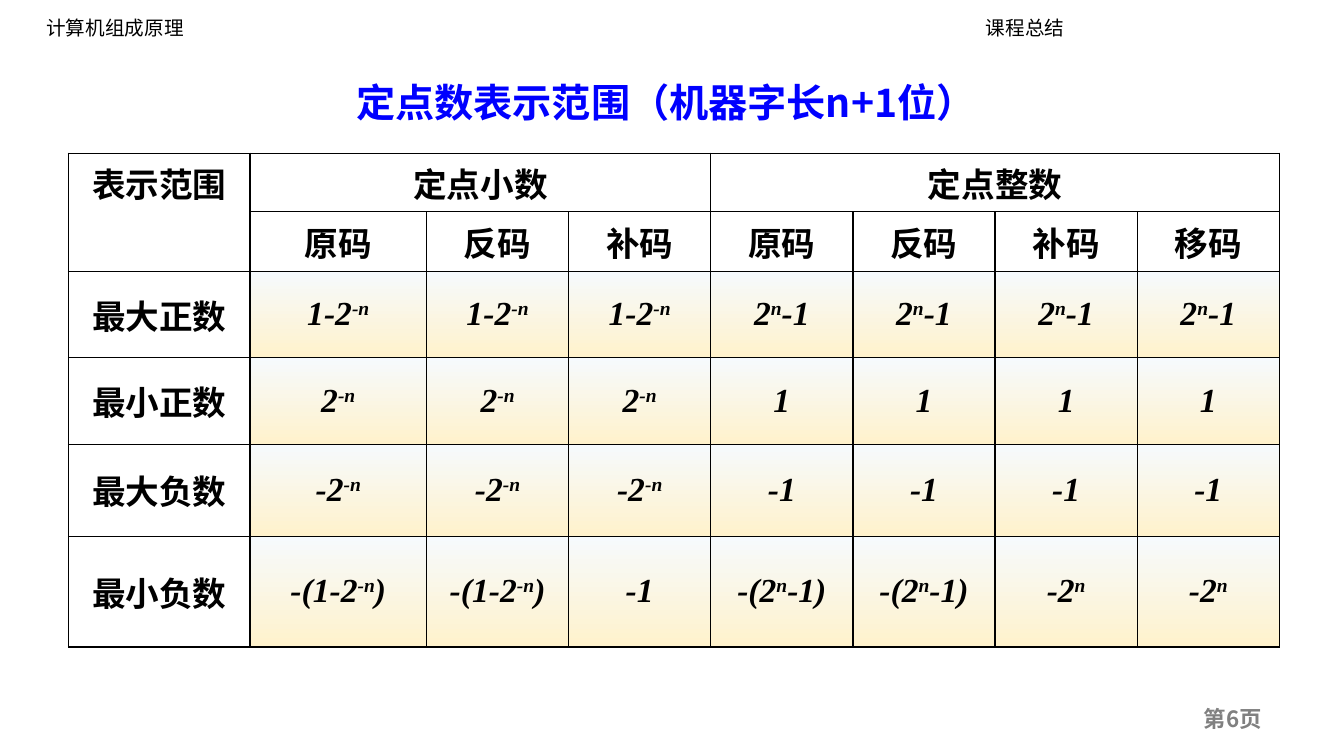
from lxml import etree
from pptx import Presentation
from pptx.dml.color import RGBColor
from pptx.enum.text import MSO_ANCHOR, PP_ALIGN
from pptx.oxml.ns import qn
from pptx.util import Inches, Pt

LEFT, CENTER = PP_ALIGN.LEFT, PP_ALIGN.CENTER
TOP, MIDDLE = MSO_ANCHOR.TOP, MSO_ANCHOR.MIDDLE

BLACK = RGBColor(0x00, 0x00, 0x00)
WHITE = RGBColor(0xFF, 0xFF, 0xFF)
BLUE = RGBColor(0x00, 0x00, 0xFF)
GRAY = RGBColor(0x80, 0x80, 0x80)
PALE_BLUE = RGBColor(0xF6, 0xFA, 0xFD)
PALE_YELLOW = RGBColor(0xFF, 0xF2, 0xCC)

COLUMN_WIDTHS = [1.8, 1.75] + [1.41] * 6
ROW_HEIGHTS = [0.58, 0.59, 0.86, 0.86, 0.91, 1.1]
HEADER_ROWS = 2
MERGED_RANGES = [((0, 0), (1, 0)), ((0, 1), (0, 3)), ((0, 4), (0, 7))]

RANGE_ROWS = [
    ["表示范围", "定点小数", "", "", "定点整数", "", "", ""],
    ["", "原码", "反码", "补码", "原码", "反码", "补码", "移码"],
    ["最大正数"] + ["1-2^-n^"] * 3 + ["2^n^-1"] * 4,
    ["最小正数"] + ["2^-n^"] * 3 + ["1"] * 4,
    ["最大负数"] + ["-2^-n^"] * 3 + ["-1"] * 4,
    ["最小负数"] + ["-(1-2^-n^)"] * 2 + ["-1"] + ["-(2^n^-1)"] * 2 + ["-2^n^"] * 2,
]


class SlideBuilder:
    cjk_font = "Noto Sans CJK SC"
    header_font = "Arial"
    table_font = "Times New Roman"
    table_size = 24

    def __init__(self, presentation):
        self.slide = presentation.slides.add_slide(presentation.slide_layouts[6])

    def style_run(self, run, font_name, size, color, bold=False, italic=False):
        font = run.font
        font.size = Pt(size)
        font.bold = bold
        font.italic = italic
        font.color.rgb = color
        font.name = font_name
        properties = run._r.get_or_add_rPr()
        etree.SubElement(properties, qn("a:ea"), typeface=self.cjk_font)

    def text(self, box, text, font_name, size, color, bold=False, align=LEFT, anchor=TOP):
        shape = self.slide.shapes.add_textbox(*map(Inches, box))
        text_frame = shape.text_frame
        text_frame.word_wrap = True
        text_frame.vertical_anchor = anchor
        text_frame.text = text
        paragraph = text_frame.paragraphs[0]
        paragraph.alignment = align
        self.style_run(paragraph.runs[0], font_name, size, color, bold)
        return text_frame

    def tab_stop(self, paragraph, position):
        properties = paragraph._p.get_or_add_pPr()
        tab_list = etree.SubElement(properties, qn("a:tabLst"))
        etree.SubElement(tab_list, qn("a:tab"), pos=str(Inches(position)), algn="l")

    def borders(self, cell):
        properties = cell._tc.get_or_add_tcPr()
        for index, side in enumerate(("lnL", "lnR", "lnT", "lnB")):
            line = etree.Element(qn(f"a:{side}"), w=str(Pt(1)))
            fill = etree.SubElement(line, qn("a:solidFill"))
            etree.SubElement(fill, qn("a:srgbClr"), val=str(BLACK))
            properties.insert(index, line)

    def cell_fill(self, cell, shaded):
        if not shaded:
            cell.fill.solid()
            cell.fill.fore_color.rgb = WHITE
            return
        cell.fill.gradient()
        cell.fill.gradient_angle = 270
        for stop, color in zip(cell.fill.gradient_stops, (PALE_BLUE, PALE_YELLOW)):
            stop.color.rgb = color

    def cell_text(self, cell, text, italic):
        cell.margin_left = cell.margin_right = Inches(0.04)
        cell.margin_top = cell.margin_bottom = Inches(0.05)
        cell.vertical_anchor = MIDDLE
        paragraph = cell.text_frame.paragraphs[0]
        paragraph.alignment = CENTER
        for index, part in enumerate(text.split("^")):
            if part:
                run = paragraph.add_run()
                run.text = part
                self.style_run(run, self.table_font, self.table_size, BLACK, True, italic)
                if index % 2:
                    run._r.get_or_add_rPr().set("baseline", "30000")

    def table(self, left, top, rows):
        size = map(Inches, (left, top, sum(COLUMN_WIDTHS), sum(ROW_HEIGHTS)))
        table = self.slide.shapes.add_table(len(rows), len(COLUMN_WIDTHS), *size).table
        table.first_row = False
        table.horz_banding = False
        for column, width in zip(table.columns, COLUMN_WIDTHS):
            column.width = Inches(width)
        for row, height in zip(table.rows, ROW_HEIGHTS):
            row.height = Inches(height)
        for start, end in MERGED_RANGES:
            table.cell(*start).merge(table.cell(*end))
        for row_index, values in enumerate(rows):
            for column_index, value in enumerate(values):
                cell = table.cell(row_index, column_index)
                is_formula = row_index >= HEADER_ROWS and column_index > 0
                self.cell_text(cell, value, is_formula)
                self.cell_fill(cell, is_formula)
                self.borders(cell)
        table.cell(0, 0).vertical_anchor = TOP


def main():
    presentation = Presentation()
    presentation.slide_width = Inches(13.33)
    presentation.slide_height = Inches(7.5)
    builder = SlideBuilder(presentation)

    builder.text((11.84, 6.95, 1.02, 0.37), "第6页", builder.cjk_font, 16, GRAY, bold=True)
    header = builder.text((0.36, 0.11, 12.61, 0.4), "计算机组成原理\t课程总结",
                          builder.header_font, 14, BLACK)
    builder.tab_stop(header.paragraphs[0], 9.32)
    title = builder.text((2.18, 0.68, 9, 0.57), "定点数表示范围（机器字长n+1位）",
                         builder.cjk_font, 28, BLUE, bold=True, align=CENTER, anchor=MIDDLE)
    title.margin_right = Inches(0.25)
    title.paragraphs[0].line_spacing = 1.2
    builder.table(0.68, 1.52, RANGE_ROWS)

    presentation.save("out.pptx")


if __name__ == "__main__":
    main()
